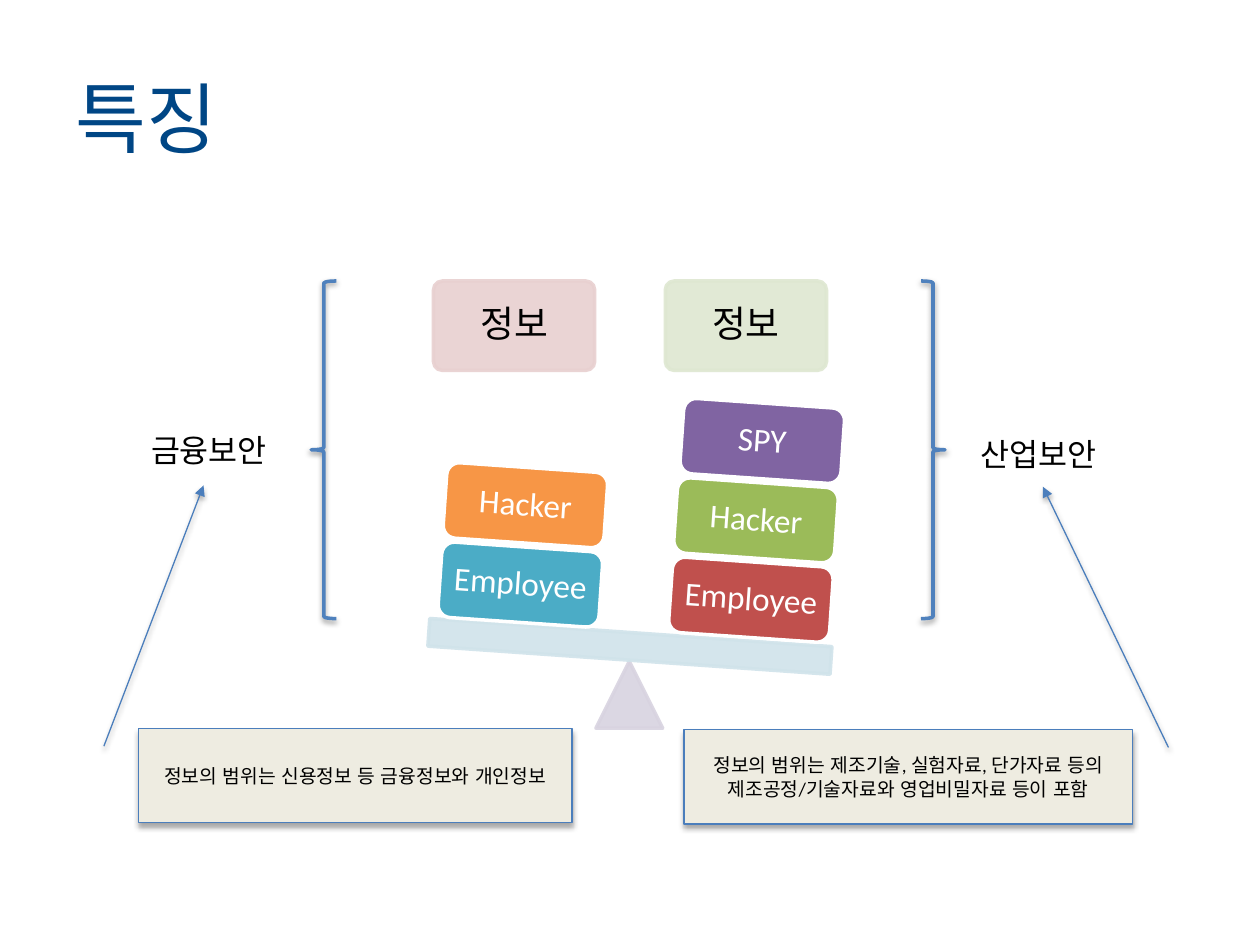
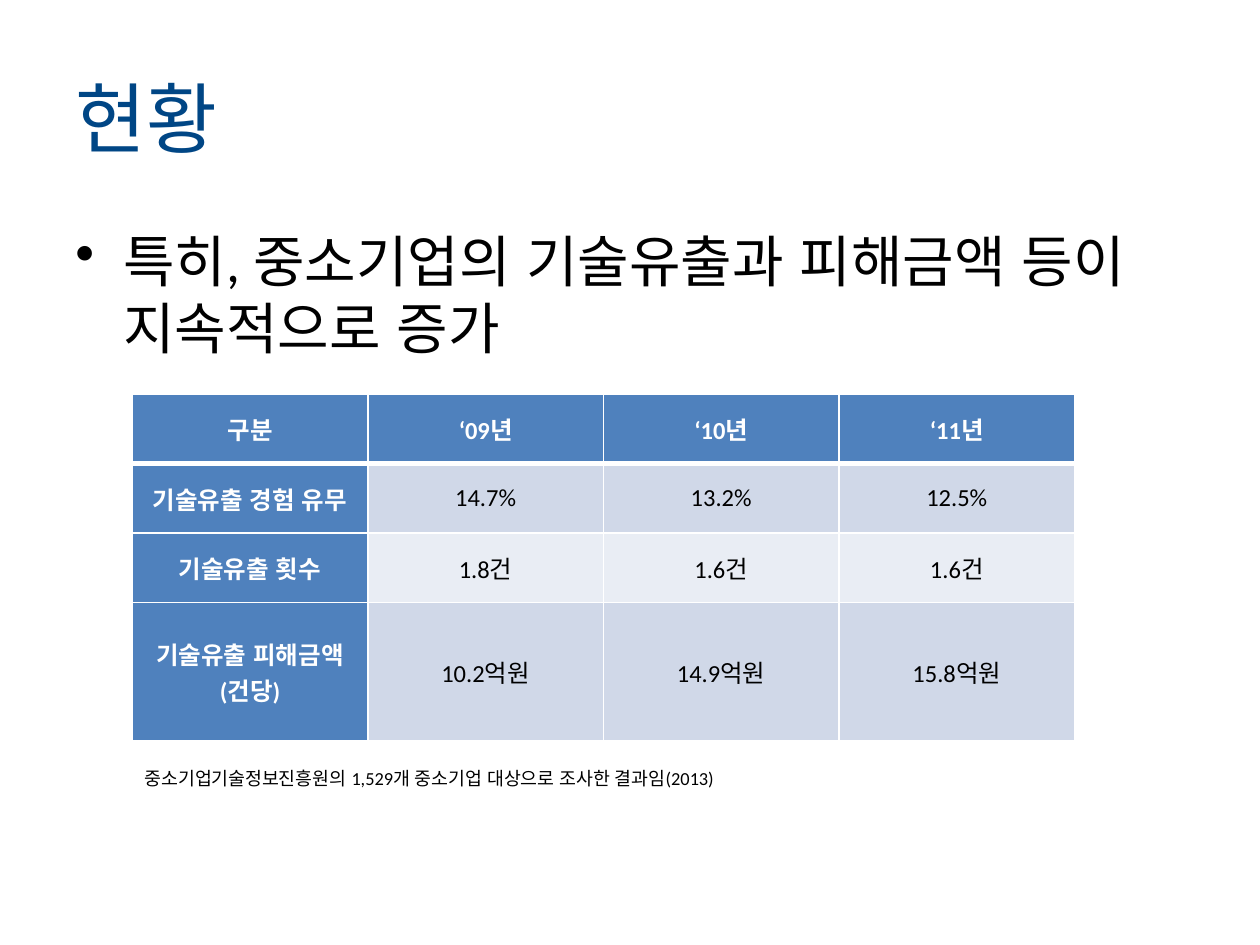
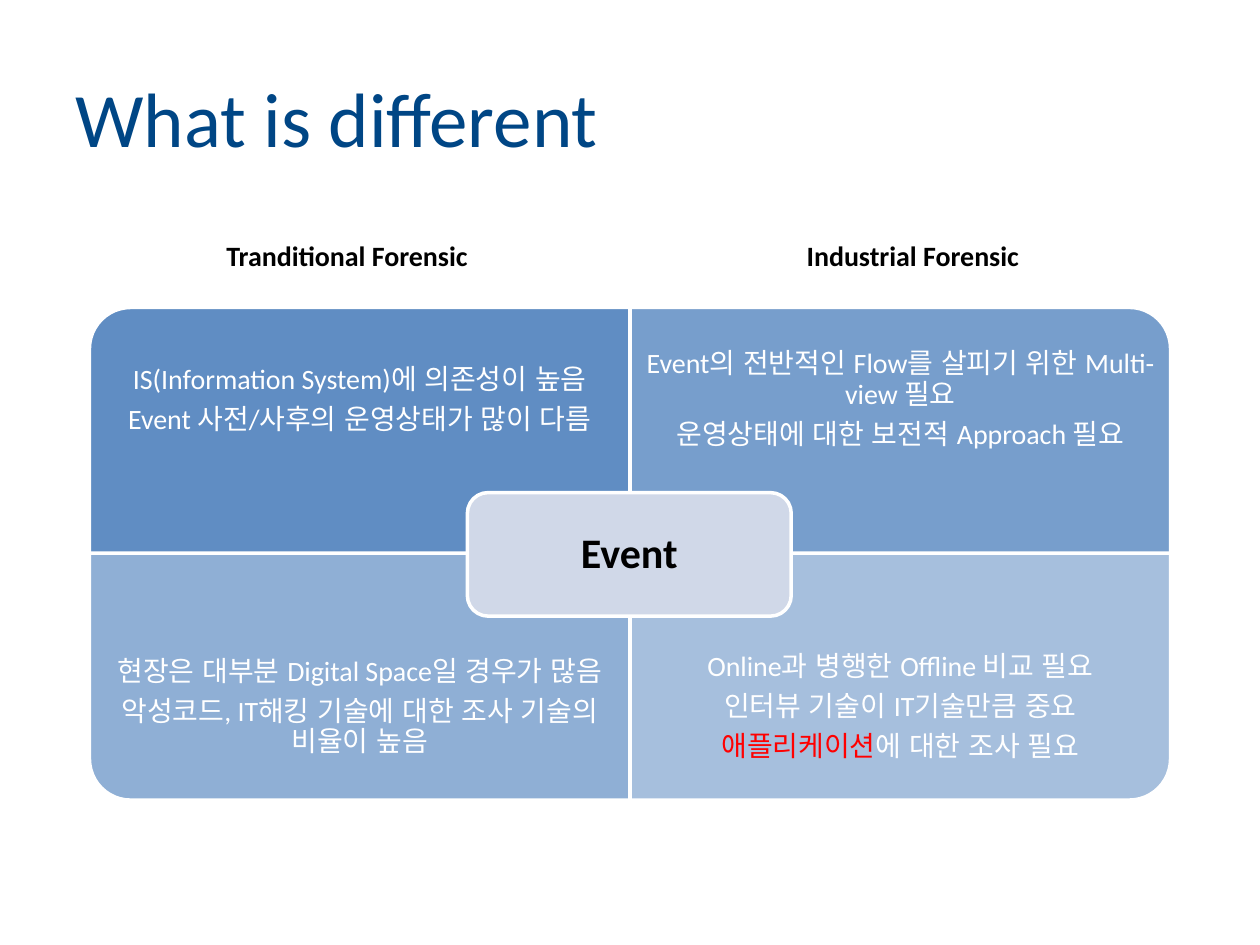
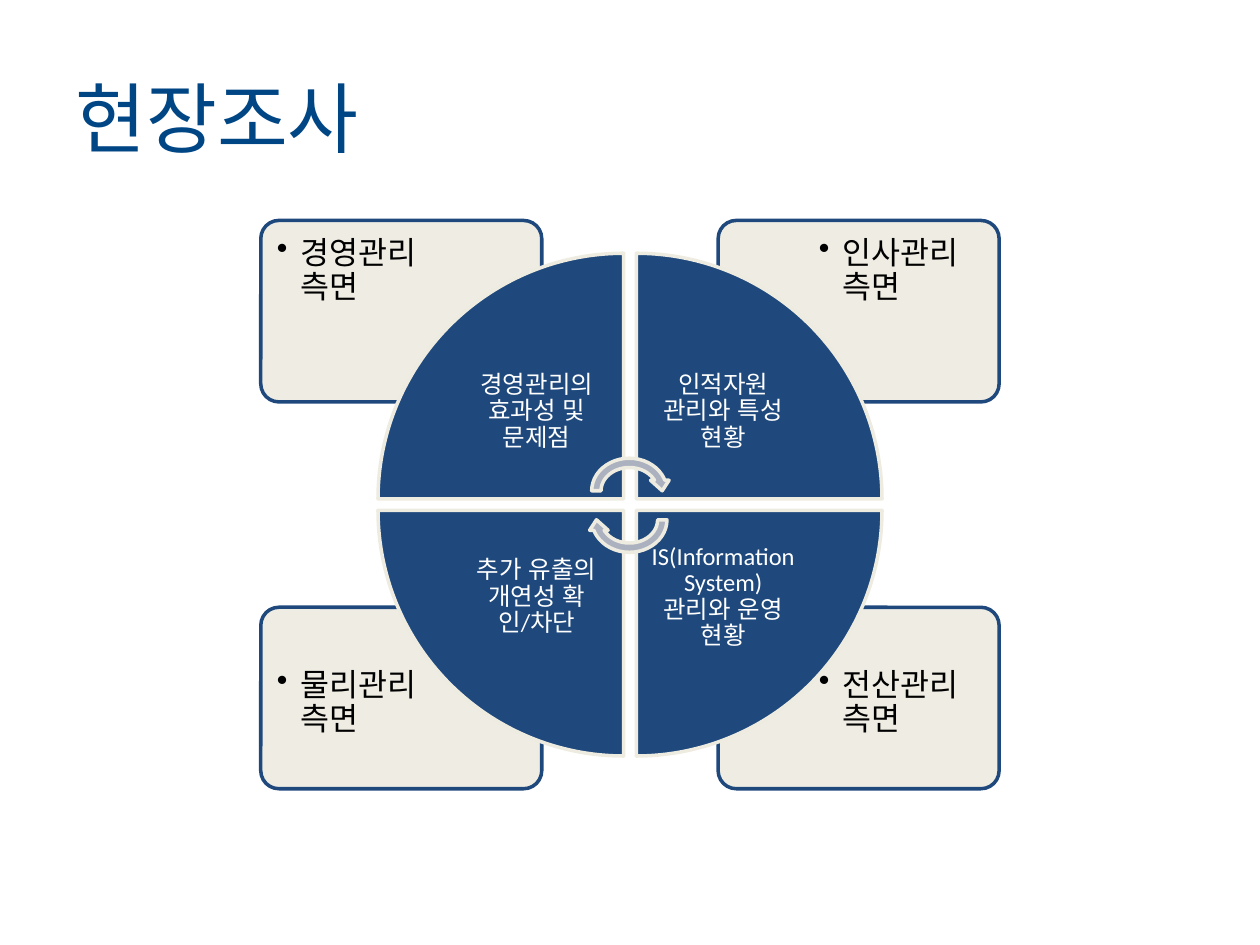
import pptx
import pptx.dml.color
import pptx.enum.lang
import pptx.enum.shapes
import pptx.enum.text
import pptx.oxml.ns
import pptx.util
from dataclasses import dataclass
from lxml import etree

KIND = pptx.enum.shapes.MSO_SHAPE
ALIGN = pptx.enum.text.PP_ALIGN
ANCHOR = pptx.enum.text.MSO_ANCHOR
qn = pptx.oxml.ns.qn


@dataclass(frozen=True)
class Theme:
    font: str = "Calibri"
    title: str = "004685"
    ink: str = "000000"
    white: str = "FFFFFF"
    blue: str = "4F81BD"
    edge: str = "4B7EBC"
    navy: str = "1F497D"
    cream: str = "EEECE1"
    pale: str = "D0D8E8"
    mist: str = "E9EDF4"
    gray: str = "ACB1BF"
    rose: str = "E8D0D0"
    leaf: str = "DEE7D1"
    lilac: str = "D8D3E0"
    sky: str = "D0E3EA"
    red: str = "FF0000"
    brick: str = "C0504D"
    green: str = "9BBB59"
    plum: str = "8064A2"
    teal: str = "4BACC6"
    orange: str = "F79646"
    head_pt: float = 44
    body_pt: float = 32
    hub_pt: float = 24
    info_pt: float = 21
    block_pt: float = 19
    label_pt: float = 18
    text_pt: float = 16
    cell_pt: float = 14
    call_pt: float = 11
    note_pt: float = 10.5


T = Theme()
TITLES = ["특징", "현황", "What is different", "현장조사"]

INFO = [(344, "정보", T.rose), (528, "정보", T.leaf)]
STACKS = [
    (532, 446, [("Employee", T.brick), ("Hacker", T.green), ("SPY", T.plum)]),
    (349, 434, [("Employee", T.teal), ("Hacker", T.orange)]),
]
SIDES = [
    dict(brace=(247, 223, 20, 268), name="금융보안", spot=(110, 337, 121, 40),
         box=(110, 578, 344, 75), bend=0.15, flip=False,
         note="정보의 범위는 신용정보 등 금융정보와 개인정보"),
    dict(brace=(731, 223, 19, 268), name="산업보안", spot=(768, 340, 121, 40),
         box=(543, 579, 356, 75), bend=0.2, flip=True,
         note="정보의 범위는 제조기술, 실험자료, 단가자료 등의 제조공정/기술자료와 영업비밀자료 등이 포함"),
]

LEAD = "특히, 중소기업의 기술유출과 피해금액 등이 지속적으로 증가"
GRID = [
    ["구분", "‘09년", "‘10년", "‘11년"],
    ["기술유출 경험 유무", "14.7%", "13.2%", "12.5%"],
    ["기술유출 횟수", "1.8건", "1.6건", "1.6건"],
    ["기술유출 피해금액(건당)", "10.2억원", "14.9억원", "15.8억원"],
]
TALL = [55, 55, 55, 110]
NOTE = "중소기업기술정보진흥원의 1,529개 중소기업 대상으로 조사한 결과임(2013)"

HEADS = [(71, "Tranditional Forensic"), (520, "Industrial Forensic")]
QUADS = [
    (270, 90, ["IS(Information System)에 의존성이 높음", "Event 사전/사후의 운영상태가 많이 다름"]),
    (0, 77, ["Event의 전반적인 Flow를 살피기 위한 Multi-view 필요",
             "운영상태에 대한 보전적 Approach 필요"]),
    (180, 63, ["현장은 대부분 Digital Space일 경우가 많음",
               "악성코드, IT해킹 기술에 대한 조사 기술의 비율이 높음"]),
    (90, 50, ["Online과 병행한 Offline 비교 필요", "인터뷰 기술이 IT기술만큼 중요",
              [("애플리케이션", T.red), ("에 대한 조사 필요", T.white)]]),
]

PARTS = [
    ("경영관리 측면", "경영관리의 효과성 및 문제점", 0),
    ("인사관리 측면", "인적자원 관리와 특성 현황", 90),
    ("물리관리측면", "추가 유출의 개연성 확인/차단", 270),
    ("전산관리 측면", "IS(Information System) 관리와 운영 현황", 180),
]


def px(num):
    return pptx.util.Emu(round(num * 9144))


def rgb(code):
    return pptx.dml.color.RGBColor.from_string(code)


def put(item, **vals):
    for key, val in vals.items():
        setattr(item, key, val)


def sub(node, tag, **vals):
    return etree.SubElement(node, qn(tag), {k: str(v) for k, v in vals.items()})


def write(frame, paras, size, color=T.ink, bold=False, align=ALIGN.LEFT,
          anchor=ANCHOR.MIDDLE, pad=None, wrap=True, lead=None, after=0, before=0, hang=0):
    put(frame, word_wrap=wrap, vertical_anchor=anchor)
    if not wrap:
        frame.auto_size = pptx.enum.text.MSO_AUTO_SIZE.SHAPE_TO_FIT_TEXT
    if pad is not None:
        for side in ("left", "top", "right", "bottom"):
            setattr(frame, "margin_" + side, px(pad))
    for i, words in enumerate(paras):
        para = frame.add_paragraph() if i else frame.paragraphs[0]
        put(para, alignment=align, line_spacing=lead,
            space_after=pptx.util.Pt(size * after), space_before=pptx.util.Pt(size * before))
        if hang:
            props = para._p.get_or_add_pPr()
            put_in = {"marL": px(hang), "indent": -px(hang)}
            for key, val in put_in.items():
                props.set(key, str(val))
            sub(props, "a:buChar", char="•")
        for text, tint in [(words, color)] if isinstance(words, str) else words:
            run = para.add_run()
            run.text = text
            put(run.font, name=T.font, size=pptx.util.Pt(size), bold=bold,
                language_id=pptx.enum.lang.MSO_LANGUAGE_ID.KOREAN)
            run.font.color.rgb = rgb(tint)


def label(page, at, paras, size, tilt=0, **form):
    box = page.shapes.add_textbox(*map(px, at))
    box.rotation = tilt
    write(box.text_frame, paras, size, **form)


def smart(page, at, paras, size, **form):
    base = dict(align=ALIGN.CENTER, lead=0.9, after=0.35, color=T.white)
    label(page, at, paras, size, **{**base, **form})


def draw(page, kind, at, fill, line, width=2, tilt=0, flip=False,
         adj=(), fade=None, shade=None):
    x, y, w, h = at
    if tilt % 180 == 90:
        x, y, w, h = x + (w - h) / 2, y + (h - w) / 2, h, w
    shape = page.shapes.add_shape(kind, *map(px, (x, y, w, h)))
    shape.rotation = tilt
    shape.shadow.inherit = False
    if fill:
        shape.fill.solid()
        shape.fill.fore_color.rgb = rgb(fill)
    else:
        shape.fill.background()
    shape.line.color.rgb = rgb(line)
    shape.line.width = pptx.util.Pt(width)
    for i, val in enumerate(adj):
        shape.adjustments[i] = val
    props = shape.element.spPr
    if flip:
        props.find(qn("a:xfrm")).set("flipH", "1")
    if fade:
        spots = props.iter(qn("a:srgbClr")) if fill == line else [
            props.find(qn("a:solidFill")).find(qn("a:srgbClr"))]
        for spot in list(spots):
            sub(spot, "a:alpha", val=fade * 1000)
    if shade:
        alpha, dist = shade
        cast = sub(props.find(qn("a:effectLst")), "a:outerShdw", blurRad=40000,
                   dist=dist, dir=5400000, rotWithShape=0)
        sub(sub(cast, "a:srgbClr", val=T.ink), "a:alpha", val=alpha * 1000)
    return shape


def inner(at, gap):
    x, y, w, h = at
    return x + gap, y + gap, w - 2 * gap, h - 2 * gap


def scale(page):
    for x, word, tint in INFO:
        at = (x, 223, 128, 71)
        draw(page, KIND.ROUNDED_RECTANGLE, at, tint, tint, adj=[0.1], fade=90)
        smart(page, inner(at, 2), [word], T.info_pt, color=T.ink, pad=9)
    draw(page, KIND.ISOSCELES_TRIANGLE, (473, 525, 53, 53), T.lilac, T.lilac, fade=90)
    draw(page, KIND.RECTANGLE, (340, 502, 320, 22), T.sky, T.sky, tilt=4, fade=90)
    for x, y, blocks in STACKS:
        for i, (word, tint) in enumerate(blocks):
            at = (x + 9 * i // 2, y - 63 * i, 128, 60)
            draw(page, KIND.ROUNDED_RECTANGLE, at, tint, T.white, tilt=4)
            smart(page, inner(at, 3), [word], T.block_pt, tilt=4, pad=7)
    for side in SIDES:
        flip = side["flip"]
        draw(page, KIND.LEFT_BRACE, side["brace"], None, T.blue, flip=flip, shade=(38, 20000))
        label(page, side["spot"], [side["name"]], T.label_pt, wrap=False, anchor=ANCHOR.TOP)
        call = draw(page, KIND.LINE_CALLOUT_1, side["box"], T.cream, T.edge, 0.75, flip=flip,
                    adj=[0.19, -0.08, -2.57, side["bend"]], shade=(35, 23000))
        sub(call.element.spPr.find(qn("a:ln")), "a:tailEnd", type="triangle")
        write(call.text_frame, [side["note"]], T.call_pt, align=ALIGN.CENTER)


def status(page):
    label(page, (50, 175, 900, 451), [LEAD], T.body_pt, anchor=ANCHOR.TOP, before=0.2, hang=38)
    table = page.shapes.add_table(4, 4, *map(px, (105, 313, 748, sum(TALL)))).table
    put(table, first_row=False, horz_banding=False)
    for col in table.columns:
        col.width = px(187)
    for r, words in enumerate(GRID):
        table.rows[r].height = px(TALL[r])
        for c, word in enumerate(words):
            cell = table.cell(r, c)
            head = r == 0 or c == 0
            put(cell, margin_left=px(7), margin_right=px(7), margin_top=0,
                margin_bottom=0, vertical_anchor=ANCHOR.MIDDLE)
            props = cell._tc.get_or_add_tcPr()
            thick = {"L": 1, "R": 1, "T": 3 if r == 1 else 1, "B": 1 if r else 3}
            for side, width in thick.items():
                line = sub(props, "a:ln" + side, w=width * 12700)
                sub(sub(line, "a:solidFill"), "a:srgbClr", val=T.white)
            cell.fill.solid()
            cell.fill.fore_color.rgb = rgb(T.blue if head else T.pale if r % 2 else T.mist)
            write(cell.text_frame, [word], T.cell_pt, T.white if head else T.ink,
                  head, ALIGN.CENTER, None)
    label(page, (105, 604, 648, 29), [NOTE], T.note_pt, anchor=ANCHOR.TOP)


def compare(page):
    for i, (tilt, fade, paras) in enumerate(QUADS):
        row, col = divmod(i, 2)
        x, y = 71 + 429 * col, 244 + 195 * row
        draw(page, KIND.ROUND_1_RECTANGLE, (x, y, 429, 196), T.blue, T.white,
             tilt=tilt, fade=fade)
        smart(page, (x, y + 49 * row, 429, 147), paras, T.text_pt, pad=12)
    hub = (371, 391, 257, 98)
    draw(page, KIND.ROUNDED_RECTANGLE, hub, T.pale, T.white)
    smart(page, inner(hub, 5), ["Event"], T.hub_pt, color=T.ink, bold=True, pad=10)
    for x, word in HEADS:
        label(page, (x, 175, 409, 56), [word], T.text_pt, bold=True, align=ALIGN.CENTER)


def survey(page):
    for i, (word, _, _) in enumerate(PARTS):
        row, col = divmod(i, 2)
        x, y = 207 + 363 * col, 175 + 307 * row
        draw(page, KIND.ROUNDED_RECTANGLE, (x, y, 223, 144), T.cream, T.navy,
             adj=[0.1], fade=90)
        smart(page, (x + 3 + 67 * col, y + 3 + 36 * row, 150, 102), [word], T.label_pt,
              color=T.ink, align=ALIGN.LEFT, anchor=ANCHOR.TOP, pad=10, after=0.15, hang=19)
    for i, (_, word, tilt) in enumerate(PARTS):
        row, col = divmod(i, 2)
        x, y = 300 + 205 * col, 201 + 204 * row
        draw(page, KIND.PIE_WEDGE, (x, y, 195, 195), T.navy, T.cream, tilt=tilt)
        smart(page, (x + 57 * (1 - col), y + 57 * (1 - row), 138, 138), [word],
              T.cell_pt, pad=11)
    for y, tilt in [(360, 0), (383, 180)]:
        draw(page, KIND.CIRCULAR_ARROW, (466, y, 67, 59), T.gray, T.cream, tilt=tilt)


def main():
    deck = pptx.Presentation()
    put(deck, slide_width=px(1000), slide_height=px(750))
    for title, build in zip(TITLES, [scale, status, compare, survey]):
        page = deck.slides.add_slide(deck.slide_layouts[6])
        label(page, (50, 30, 900, 125), [title], T.head_pt, color=T.title)
        build(page)
    deck.save("out.pptx")


if __name__ == "__main__":
    main()
